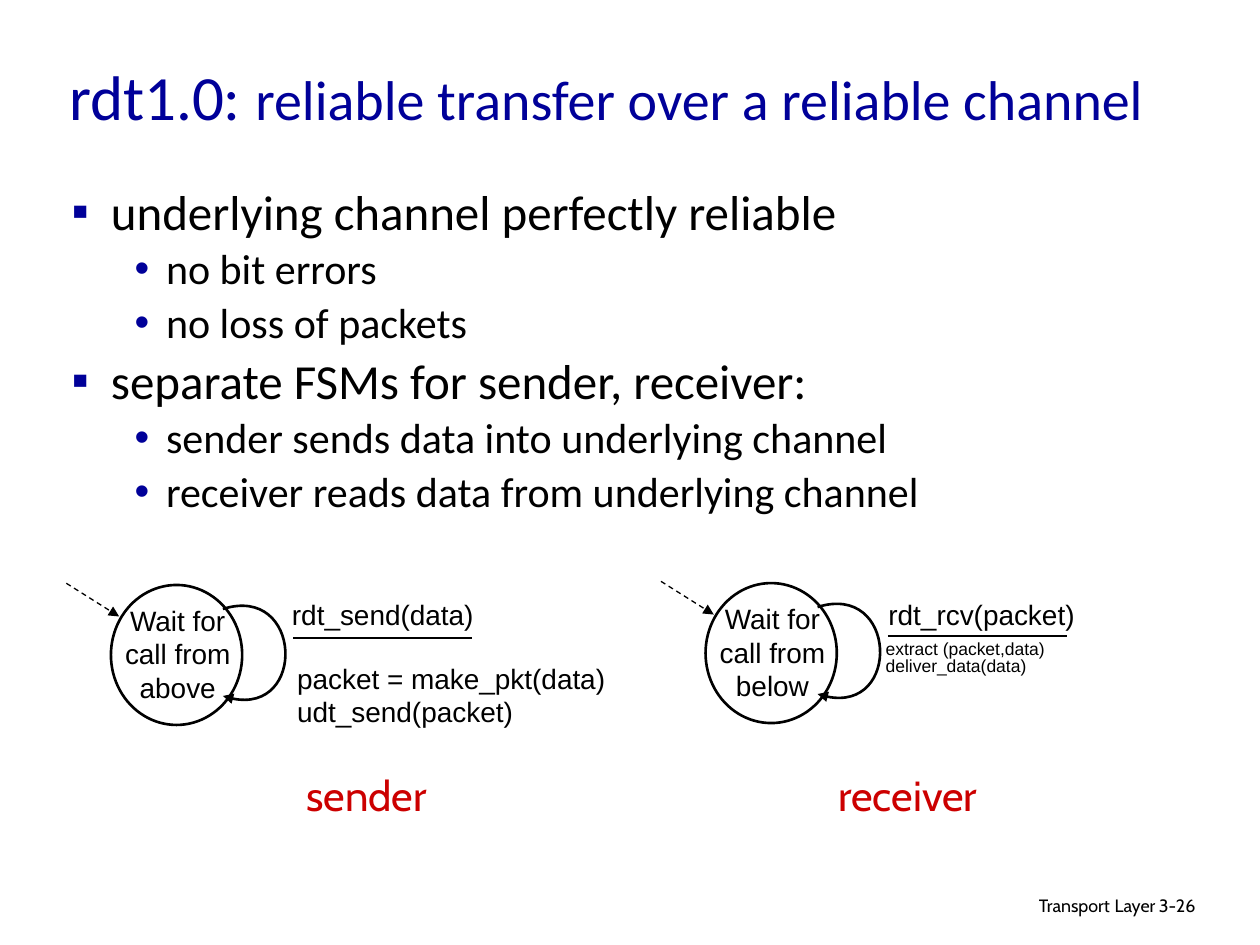
from lxml import etree
from pptx import Presentation
from pptx import util as u
from pptx.dml import color
from pptx.enum import dml, shapes, text
from pptx.oxml import ns

COLOURS = {"ink": "000000", "navy": "000099", "red": "CC0000", "white": "FFFFFF"}
BULLETS = [("▪", 22.5, 28, 7), ("•", 54, 24, 6)]
HANGING = [22.5, 18]
BODY = [
    (0, "underlying channel perfectly reliable"),
    (1, "no bit errors"),
    (1, "no loss of packets"),
    (0, "separate FSMs for sender, receiver:"),
    (1, "sender sends data into underlying channel"),
    (1, "receiver reads data from underlying channel"),
]


class Sketch:
    """Holds the slide's style and draws each kind of element in points."""

    def __init__(self, page):
        self.page = page
        self.align = {"l": text.PP_ALIGN.LEFT, "c": text.PP_ALIGN.CENTER, "r": text.PP_ALIGN.RIGHT}

    def rgb(self, name):
        return color.RGBColor.from_string(COLOURS[name])

    def span(self, para, words, size, font, colour):
        span = para.add_run()
        span.text = words
        span.font.size = u.Pt(size)
        span.font.name = font
        span.font.color.rgb = self.rgb(colour)

    def frame(self, left, top, width, height, wrap=True):
        box = self.page.shapes.add_textbox(u.Pt(left), u.Pt(top), u.Pt(width), u.Pt(height))
        frame = box.text_frame
        frame.word_wrap = wrap
        frame.auto_size = text.MSO_AUTO_SIZE.NONE if wrap else text.MSO_AUTO_SIZE.SHAPE_TO_FIT_TEXT
        return frame

    def label(self, area, lines, font="Arial", colour="ink", align="l", spacing=1.0, wrap=True, middle=False):
        frame = self.frame(*area, wrap=wrap)
        if middle:
            frame.vertical_anchor = text.MSO_ANCHOR.MIDDLE
        for index, spans in enumerate(lines):
            para = frame.add_paragraph() if index else frame.paragraphs[0]
            para.alignment = self.align[align]
            para.line_spacing = spacing
            for words, size in spans:
                self.span(para, words, size, font, colour)

    def bullets(self, area, items):
        frame = self.frame(*area)
        for index, (level, words) in enumerate(items):
            symbol, margin, size, before = BULLETS[level]
            para = frame.add_paragraph() if index else frame.paragraphs[0]
            props = para._p.get_or_add_pPr()
            props.set("marL", str(u.Pt(margin)))
            props.set("indent", str(-u.Pt(HANGING[level])))
            tint = etree.SubElement(props, ns.qn("a:buClr"))
            etree.SubElement(tint, ns.qn("a:srgbClr"), val=COLOURS["navy"])
            etree.SubElement(props, ns.qn("a:buFont"), typeface="Arial")
            etree.SubElement(props, ns.qn("a:buChar"), char=symbol)
            para.level = level
            para.line_spacing = 0.85
            para.space_before = u.Pt(before if index else 0)
            self.span(para, words, size, "Calibri", "ink")

    def stroke(self, shape, width=1.5, dashed=False, arrow=False):
        shape.line.color.rgb = self.rgb("ink")
        shape.line.width = u.Pt(width)
        if dashed:
            shape.line.dash_style = dml.MSO_LINE.DASH
        if arrow:
            etree.SubElement(shape.line._get_or_add_ln(), ns.qn("a:tailEnd"), type="triangle")

    def line(self, start, end, **style):
        line = self.page.shapes.add_connector(
            shapes.MSO_CONNECTOR.STRAIGHT, *(u.Pt(value) for value in start + end))
        self.stroke(line, **style)
        etree.SubElement(line._element.spPr, ns.qn("a:effectLst"))

    def circle(self, left, top, width, height):
        circle = self.page.shapes.add_shape(
            shapes.MSO_SHAPE.OVAL, u.Pt(left), u.Pt(top), u.Pt(width), u.Pt(height))
        circle.shadow.inherit = False
        circle.fill.solid()
        circle.fill.fore_color.rgb = self.rgb("white")
        self.stroke(circle)

    def curve(self, start, *controls):
        builder = self.page.shapes.build_freeform(u.Pt(start[0]), u.Pt(start[1]))
        builder.add_line_segments([(u.Pt(x), u.Pt(y)) for x, y in controls], close=False)
        loop = builder.convert_to_shape()
        loop.shadow.inherit = False
        loop.fill.background()
        segments = list(loop._element.iter(ns.qn("a:lnTo")))
        bezier = etree.SubElement(segments[0].getparent(), ns.qn("a:cubicBezTo"))
        for segment in segments:
            bezier.append(segment[0])
            segment.getparent().remove(segment)
        self.stroke(loop, arrow=True)

    def state(self, left, top, words):
        self.circle(left, top, 75, 80)
        self.label((left - 5, top + 7, 86.4, 72), [[(words, 16)]], align="c")
        offsets = [(64, 13.7), (109.4, -0.7), (112.3, 79.9), (64, 63.4)]
        self.curve(*((left + x, top + y) for x, y in offsets))
        self.line((left + 104.2, top + 30.2), (left + 206.4, top + 30.2))
        self.line((left - 25.5, top - 1), (left + 4.7, top + 18), width=0.75, dashed=True, arrow=True)


def main():
    deck = Presentation()
    deck.slide_width, deck.slide_height = u.Pt(720), u.Pt(540)
    page = deck.slides.add_slide(deck.slide_layouts[6])
    sketch = Sketch(page)

    sketch.label((439.2, 507.6, 228.2, 22.3), [[("Transport", 10.2), (" ", 11.9), ("Layer", 10.2)]],
                 "Cabin", align="r", spacing=0.9)
    sketch.label((655.2, 509, 53.3, 21.6), [[("3-26", 10.2)]], "Cabin", spacing=0.9)
    sketch.label((32.4, 15.1, 630, 79.2),
                 [[("rdt1.0: ", 36), ("reliable transfer over a reliable channel", 32)]],
                 "Calibri", "navy", middle=True)
    sketch.bullets((33.8, 105.1, 622, 237.6), BODY)

    sketch.state(63.4, 334.3, "Wait for call from above")
    sketch.label((159.8, 337.7, 177.8, 33.8), [[("rdt_send(data)", 16)]])
    sketch.label((162.7, 374.4, 211, 46.8),
                 [[("packet = make_pkt(data)", 16)], [("udt_send(packet)", 16)]])

    sketch.state(403.2, 333.2, "Wait for call from below")
    sketch.label((500.4, 337.7, 121, 26.6), [[("rdt_rcv(packet)", 16)]], align="c", wrap=False)
    sketch.label((499, 363.6, 195.8, 33.8),
                 [[("extract (packet,data)", 10)], [("deliver_data(data)", 10)]], spacing=0.8)

    for left, width, role in [(163.4, 92.2, "sender"), (466.6, 104.4, "receiver")]:
        sketch.label((left, 436.3, width, 36), [[(role, 24)]], "Cabin", "red", align="c", wrap=False)

    deck.save("out.pptx")


if __name__ == "__main__":
    main()
